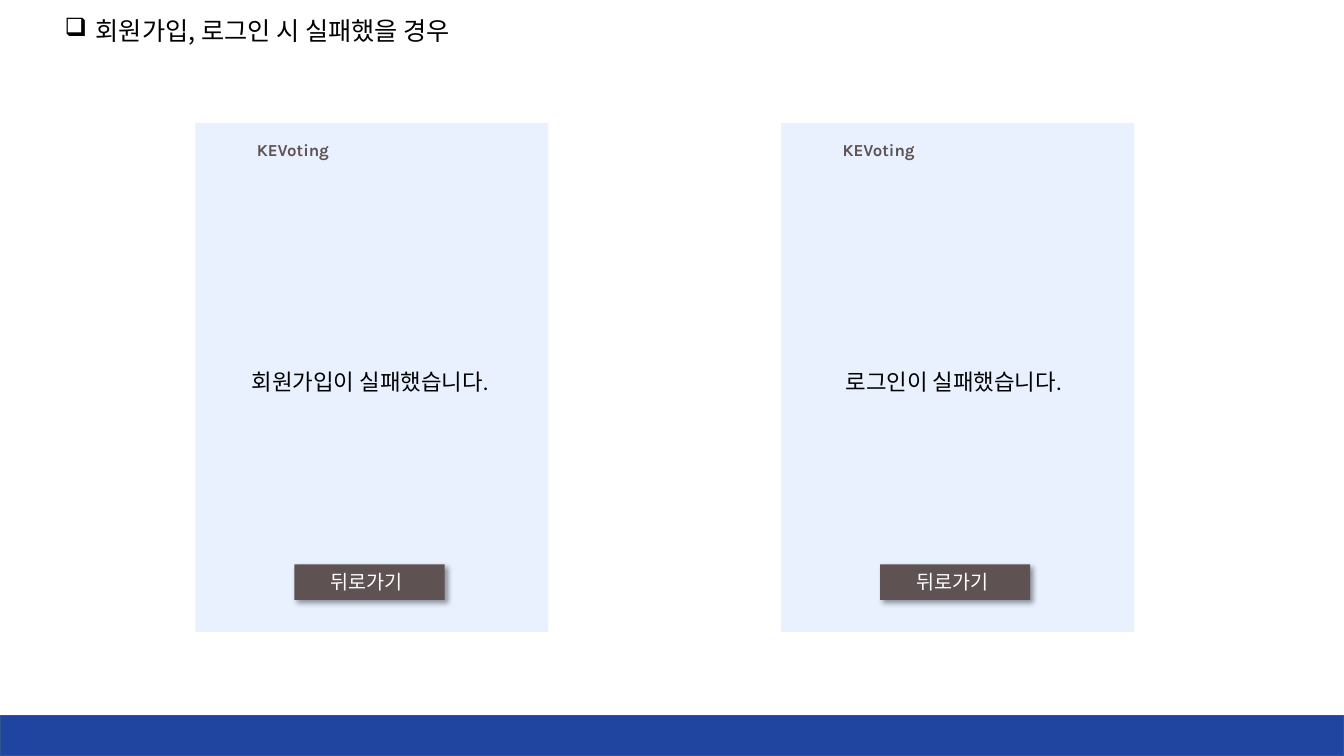
"""Builds the slide with the failed sign-up and failed login screens."""
from dataclasses import dataclass

from lxml import etree
from pptx import Presentation
from pptx import util as u
from pptx.dml import color
from pptx.enum import shapes, text
from pptx.oxml import ns


@dataclass(frozen=True)
class Theme:
    footer: str = "1F45A0"
    footer_line: str = "325491"
    screen: str = "E9F1FF"
    button: str = "5E5252"
    ink: str = "000000"
    paper: str = "FFFFFF"
    latin: str = "Calibri"
    brand: str = "Karla"
    korean: str = "Noto Sans CJK KR"
    title_size: int = 18
    message_size: int = 16
    button_size: int = 14
    brand_size: int = 12


def add_node(parent, tag, **attributes):
    return etree.SubElement(parent, ns.qn(tag), attributes)


def write(frame, words, *, size, ink, font, bold=False):
    frame.word_wrap = True
    frame.auto_size = text.MSO_AUTO_SIZE.SHAPE_TO_FIT_TEXT
    frame.vertical_anchor = text.MSO_ANCHOR.TOP
    paragraph = frame.paragraphs[0]
    paragraph.alignment = text.PP_ALIGN.LEFT
    run = paragraph.add_run()
    run.text = words
    run.font.size = u.Pt(size)
    run.font.bold = bold
    run.font.color.rgb = color.RGBColor.from_string(ink)
    run.font.name = font
    add_node(run.font._element, "a:ea", typeface=Theme.korean)
    return paragraph


class SlideBuilder:
    def __init__(self, deck, theme):
        self.deck = deck
        self.theme = theme
        self.slide = deck.slides.add_slide(deck.slide_layouts[5])

    def place(self, left, top, width, height):
        wide, high = self.deck.slide_width, self.deck.slide_height
        return [round(share * full / 100) for share, full in
                ((left, wide), (top, high), (width, wide), (height, high))]

    def title(self, words, *area):
        heading = self.slide.shapes.title
        heading.left, heading.top, heading.width, heading.height = self.place(*area)
        paragraph = write(heading.text_frame, words, size=self.theme.title_size,
                          ink=self.theme.ink, font=self.theme.korean)
        properties = paragraph._p.get_or_add_pPr()
        properties.set("marL", str(u.Inches(0.31)))
        properties.set("indent", str(-u.Inches(0.31)))
        add_node(properties, "a:buChar", char="❑")

    def block(self, fill, *area, line=None, shadow=False):
        block = self.slide.shapes.add_shape(shapes.MSO_SHAPE.RECTANGLE, *self.place(*area))
        block.shadow.inherit = False
        block.fill.solid()
        block.fill.fore_color.rgb = color.RGBColor.from_string(fill)
        if line:
            block.line.color.rgb = color.RGBColor.from_string(line)
            block.line.width = u.Pt(1)
        else:
            block.line.fill.background()
        if shadow:
            effects = block._element.spPr.find(ns.qn("a:effectLst"))
            outer = add_node(effects, "a:outerShdw", blurRad=str(u.Pt(4)), dist=str(u.Pt(3)),
                             dir="2700000", algn="tl", rotWithShape="0")
            tint = add_node(outer, "a:srgbClr", val=self.theme.ink)
            add_node(tint, "a:alpha", val="40000")

    def label(self, words, *area, **style):
        box = self.slide.shapes.add_textbox(*self.place(*area))
        write(box.text_frame, words, **style)

    def screen(self, left, message, message_inset):
        theme = self.theme
        self.block(theme.screen, left, 16.27, 26.25, 67.33)
        self.label("KEVoting", left + 3.83, 17.87, 7.88, 4, size=theme.brand_size,
                   ink=theme.button, font=theme.brand, bold=True)
        self.label(message, left + message_inset, 48, 20, 4.93, size=theme.message_size,
                   ink=theme.ink, font=theme.latin)
        self.block(theme.button, left + 7.35, 74.67, 11.18, 4.67, shadow=True)
        self.label("뒤로가기", left + 9.3, 74.67, 8.33, 4.53, size=theme.button_size,
                   ink=theme.paper, font=theme.latin)


def main():
    deck = Presentation()
    deck.slide_width, deck.slide_height = u.Inches(13.33), u.Inches(7.5)
    theme = Theme()
    page = SlideBuilder(deck, theme)
    page.block(theme.footer, 0, 94.67, 100, 5.33, line=theme.footer_line)
    page.title("회원가입, 로그인 시 실패했을 경우", 4.05, 1.33, 35.63, 5.33)
    failures = (("회원가입이 실패했습니다.", 3.45), ("로그인이 실패했습니다.", 4.05))
    for index, (message, inset) in enumerate(failures):
        page.screen(14.55 + index * 43.58, message, inset)
    deck.save("out.pptx")


if __name__ == "__main__":
    main()
